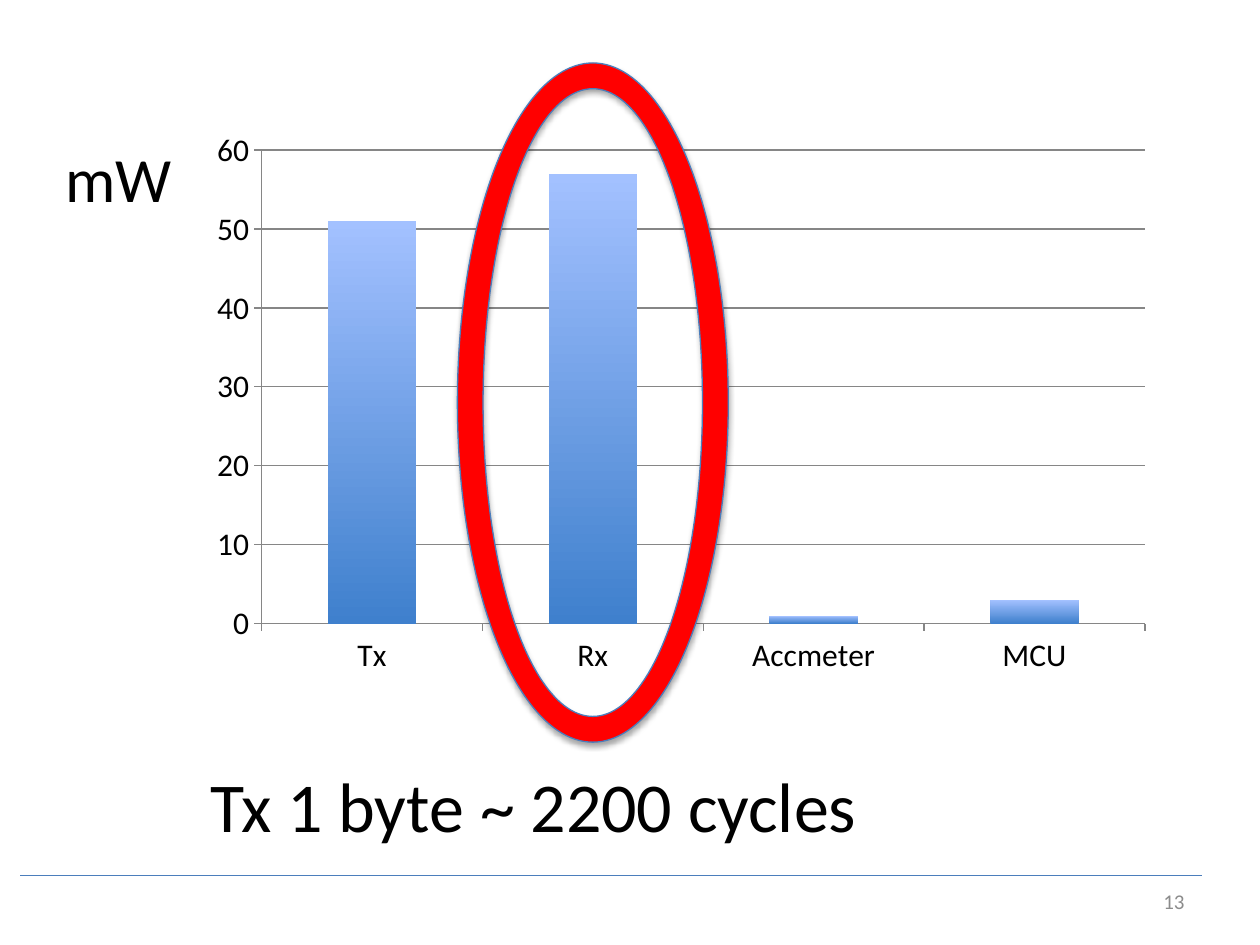
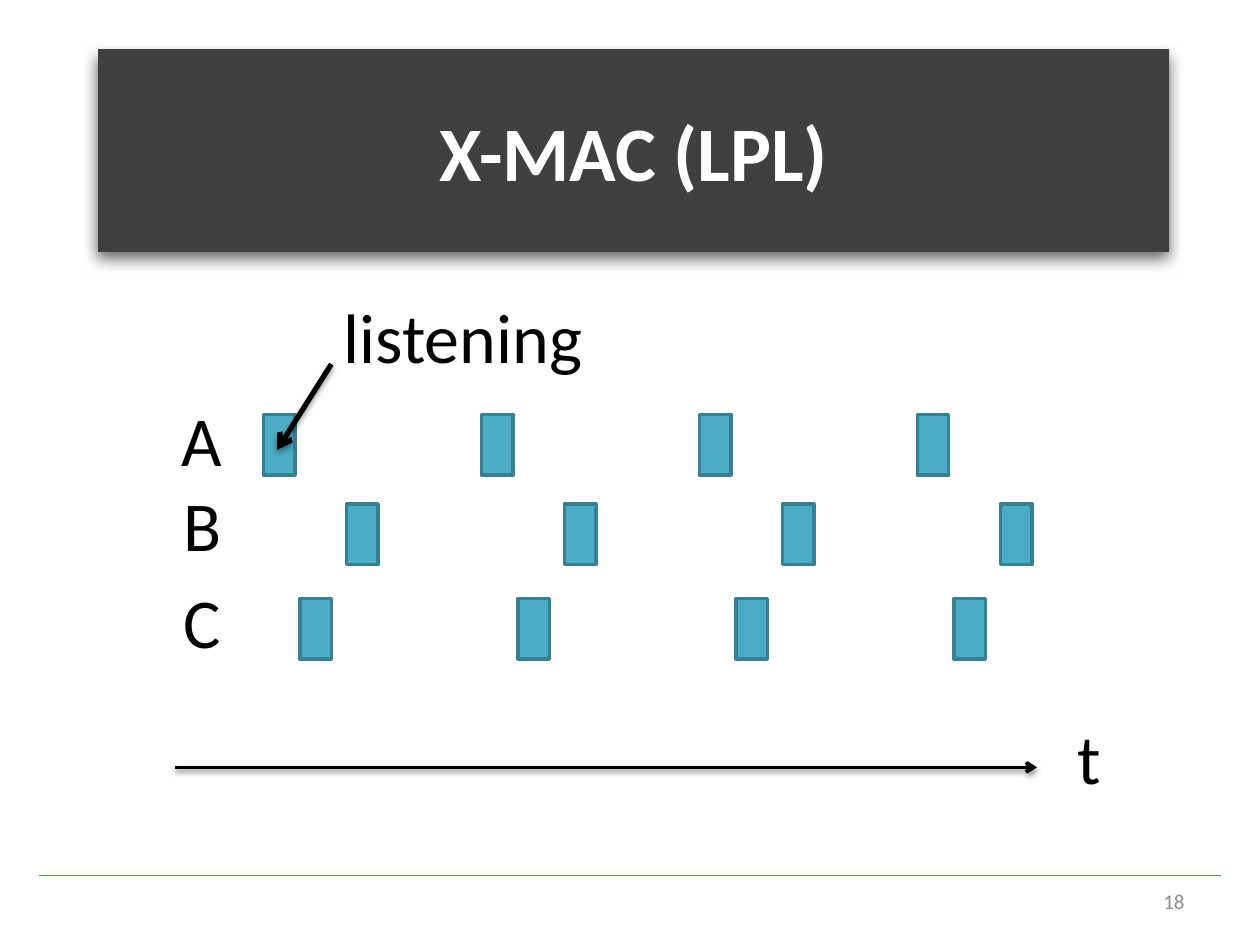
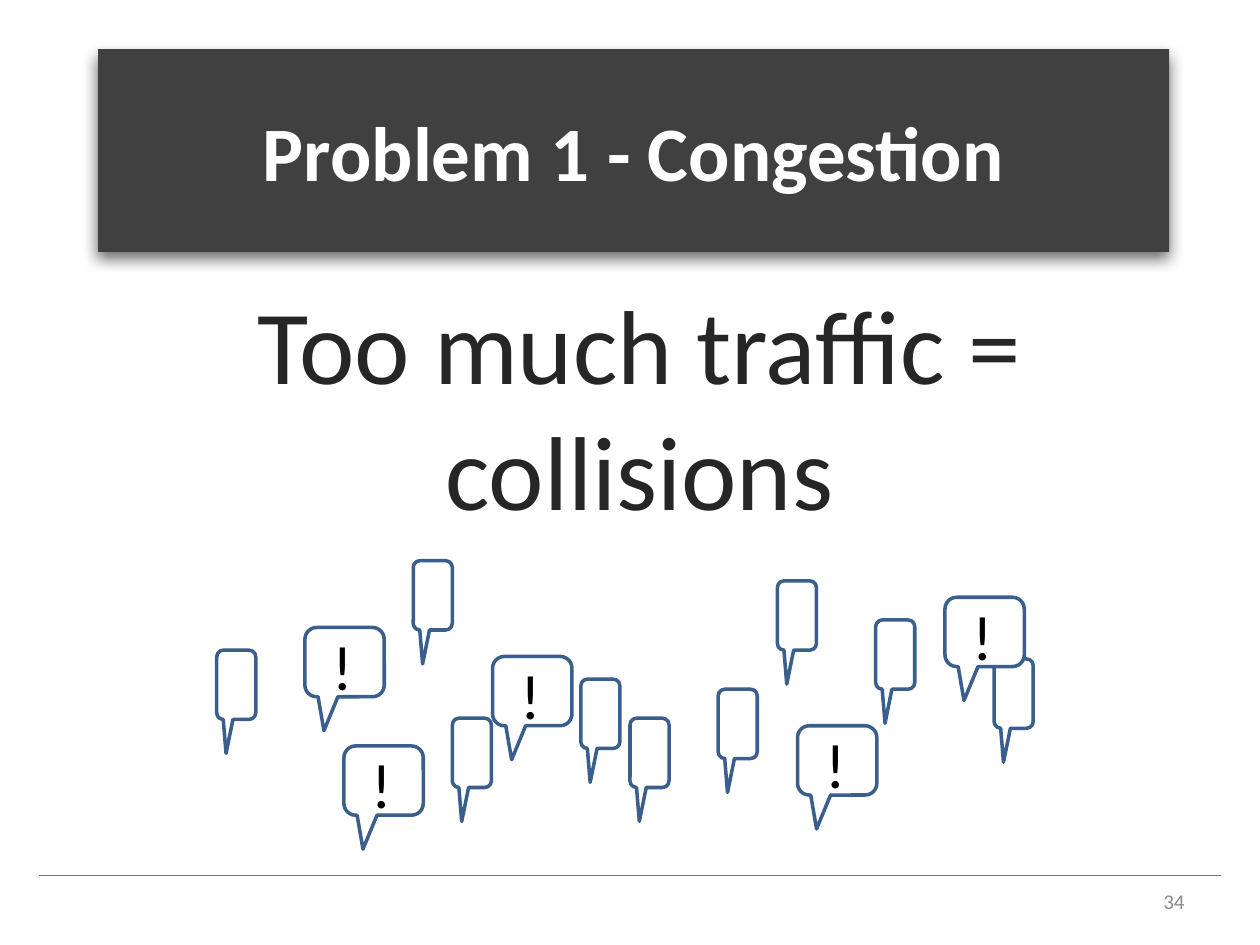
from lxml import etree
from pptx import Presentation
from pptx.chart.data import CategoryChartData
from pptx.dml.color import RGBColor
from pptx.enum.chart import XL_CHART_TYPE, XL_TICK_MARK
from pptx.enum.shapes import MSO_CONNECTOR, MSO_SHAPE
from pptx.enum.text import MSO_ANCHOR, PP_ALIGN
from pptx.oxml.ns import qn
from pptx.util import Inches, Pt

COLUMN = XL_CHART_TYPE.COLUMN_CLUSTERED
OUT = XL_TICK_MARK.OUTSIDE
STRAIGHT = MSO_CONNECTOR.STRAIGHT
RECT, DONUT = MSO_SHAPE.RECTANGLE, MSO_SHAPE.DONUT
BUBBLE = MSO_SHAPE.ROUNDED_RECTANGULAR_CALLOUT
LEFT, CENTER, RIGHT = PP_ALIGN.LEFT, PP_ALIGN.CENTER, PP_ALIGN.RIGHT
TOP, MIDDLE = MSO_ANCHOR.TOP, MSO_ANCHOR.MIDDLE

FONT = "Calibri"
HEX = {
    "black": "000000", "white": "FFFFFF", "band": "404040", "body": "262626",
    "page": "8C8C8C", "rule": "4B7EBC", "grid": "868686", "red": "FF0000",
    "slot": "4BACC6", "edge": "377F92", "bubble": "3A5F8C",
    "deep": "3F80CD", "pale": "A3C1FF",
}
RGB = {name: RGBColor.from_string(code) for name, code in HEX.items()}


def write(shape, text, size, color="black", align=LEFT, anchor=TOP, bold=False):
    frame = shape.text_frame
    frame.word_wrap = True
    frame.vertical_anchor = anchor
    frame.text = text
    para = frame.paragraphs[0]
    para.alignment = align
    font = para.runs[0].font
    font.name, font.size, font.bold = FONT, Pt(size), bold
    font.color.rgb = RGB[color]


def shade(shape, alpha=0, blur=0, dist=0, angle=0):
    effects = etree.SubElement(shape._element.spPr, qn("a:effectLst"))
    if alpha:
        outer = etree.SubElement(
            effects, qn("a:outerShdw"), blurRad=str(Pt(blur)), dist=str(Pt(dist)),
            dir=str(angle * 60000), algn="t", rotWithShape="0")
        color = etree.SubElement(outer, qn("a:srgbClr"), val=HEX["black"])
        etree.SubElement(color, qn("a:alpha"), val=str(alpha * 1000))


deck = Presentation()
deck.slide_width, deck.slide_height = Inches(10), Inches(7.5)

pages = []
for title, number, left in [
    ("", "13", 0.16),
    ("X-MAC (LPL)", "18", 0.31),
    ("Problem 1 - Congestion", "34", 0.31),
]:
    shapes = deck.slides.add_slide(deck.slide_layouts[6]).shapes
    pages.append(shapes)
    if title:
        band = shapes.add_shape(RECT, Inches(0.78), Inches(0.39), Inches(8.5), Inches(1.61))
        band.fill.solid()
        band.fill.fore_color.rgb = RGB["band"]
        band.line.fill.background()
        shade(band, 58, 9, 4, 100)
        write(band, title, 44, "white", CENTER, MIDDLE, True)
    box = shapes.add_textbox(Inches(7.17), Inches(6.95), Inches(2.33), Inches(0.4))
    write(box, number, 12, "page", RIGHT, MIDDLE)
    rule = shapes.add_connector(
        STRAIGHT, Inches(left), Inches(6.95), Inches(left + 9.38), Inches(6.95))
    rule.line.color.rgb = RGB["rule"]
    rule.line.width = Pt(0.75)
    shade(rule)

power, timing, crowd = pages

data = CategoryChartData()
data.categories = ["Tx", "Rx", "Accmeter", "MCU"]
data.add_series("Series 1", [51, 57, 1, 3])
chart = power.add_chart(
    COLUMN, Inches(1.57), Inches(0.95), Inches(7.67), Inches(4.49), data).chart
chart.has_legend = chart.has_title = False
chart.font.name, chart.font.size = FONT, Pt(18)
chart.font.color.rgb = RGB["black"]
plot = chart.plots[0]
plot.gap_width = 150
plot.vary_by_categories = False
fill = plot.series[0].format.fill
fill.gradient()
fill.gradient_angle = 90
for stop, name in zip(fill.gradient_stops, ["deep", "pale"]):
    stop.color.rgb = RGB[name]
values = chart.value_axis
values.minimum_scale, values.maximum_scale, values.major_unit = 0, 60, 10
values.has_major_gridlines = True
for axis in (chart.category_axis, values):
    axis.major_tick_mark = OUT
    axis.format.line.color.rgb = RGB["grid"]
values.major_gridlines.format.line.color.rgb = RGB["grid"]

for text, size, x, y, width, height in [
    ("mW", 36, 0.42, 1.06, 1.42, 0.71),
    ("Tx 1 byte ~ 2200 cycles", 40, 1.57, 6, 6.54, 0.77),
]:
    box = power.add_textbox(Inches(x), Inches(y), Inches(width), Inches(height))
    write(box, text, size)

ring = power.add_shape(DONUT, Inches(3.63), Inches(0.5), Inches(2.15), Inches(5.39))
ring.adjustments[0] = 0.095
ring.fill.solid()
ring.fill.fore_color.rgb = RGB["red"]
ring.line.color.rgb = RGB["rule"]
ring.line.width = Pt(0.75)
shade(ring, 35, 3.1, 1.8, 90)

for text, x, y, width in [
    ("t", 8.45, 5.62, 0.39), ("A", 1.34, 3.1, 0.53), ("B", 1.36, 3.77, 0.51),
    ("C", 1.36, 4.54, 0.5), ("listening", 2.63, 2.28, 5.73),
]:
    box = timing.add_textbox(Inches(x), Inches(y), Inches(width), Inches(0.77))
    write(box, text, 40)

for start, y in [(2.09, 3.29), (2.75, 4), (2.38, 4.75)]:
    for turn in range(4):
        slot = timing.add_shape(
            RECT, Inches(start + turn * 1.73), Inches(y), Inches(0.25), Inches(0.48))
        slot.fill.solid()
        slot.fill.fore_color.rgb = RGB["slot"]
        slot.line.color.rgb = RGB["edge"]
        slot.line.width = Pt(2)
        shade(slot)

for x1, y1, x2, y2, weight in [(1.39, 6.09, 8.23, 6.09, 2), (2.63, 2.89, 2.2, 3.57, 3)]:
    arrow = timing.add_connector(STRAIGHT, Inches(x1), Inches(y1), Inches(x2), Inches(y2))
    arrow.line.color.rgb = RGB["black"]
    arrow.line.width = Pt(weight)
    etree.SubElement(arrow._element.spPr.find(qn("a:ln")), qn("a:tailEnd"), type="arrow")
    shade(arrow, 36, 3.1, 1.7, 90)

box = crowd.add_textbox(Inches(1.17), Inches(2.17), Inches(7.81), Inches(4.3))
write(box, "Too much traffic = collisions", 60, "body", CENTER)

quiet = [
    (4.61, 5.39), (3.28, 4.45), (1.72, 5.16), (3.59, 5.7), (5, 5.7),
    (6.95, 4.92), (5.7, 5.47), (6.17, 4.61), (7.89, 5.23),
]
loud = [(7.5, 4.74), (3.91, 5.21), (2.73, 5.92), (2.42, 4.98), (6.33, 5.76)]
for x, y in quiet + loud:
    shout = (x, y) in loud
    host = crowd.add_group_shape().shapes if shout else crowd
    bubble = host.add_shape(
        BUBBLE, Inches(x), Inches(y), Inches(0.63 if shout else 0.31), Inches(0.55))
    for index, value in enumerate([-0.26, 0.99, 0.17]):
        bubble.adjustments[index] = value
    bubble.fill.solid()
    bubble.fill.fore_color.rgb = RGB["white"]
    bubble.line.color.rgb = RGB["bubble"]
    bubble.line.width = Pt(2)
    shade(bubble)
    if shout:
        box = host.add_textbox(
            Inches(x + 0.12), Inches(y - 0.05), Inches(1.37), Inches(0.86))
        write(box, "!", 36)

deck.save("out.pptx")
